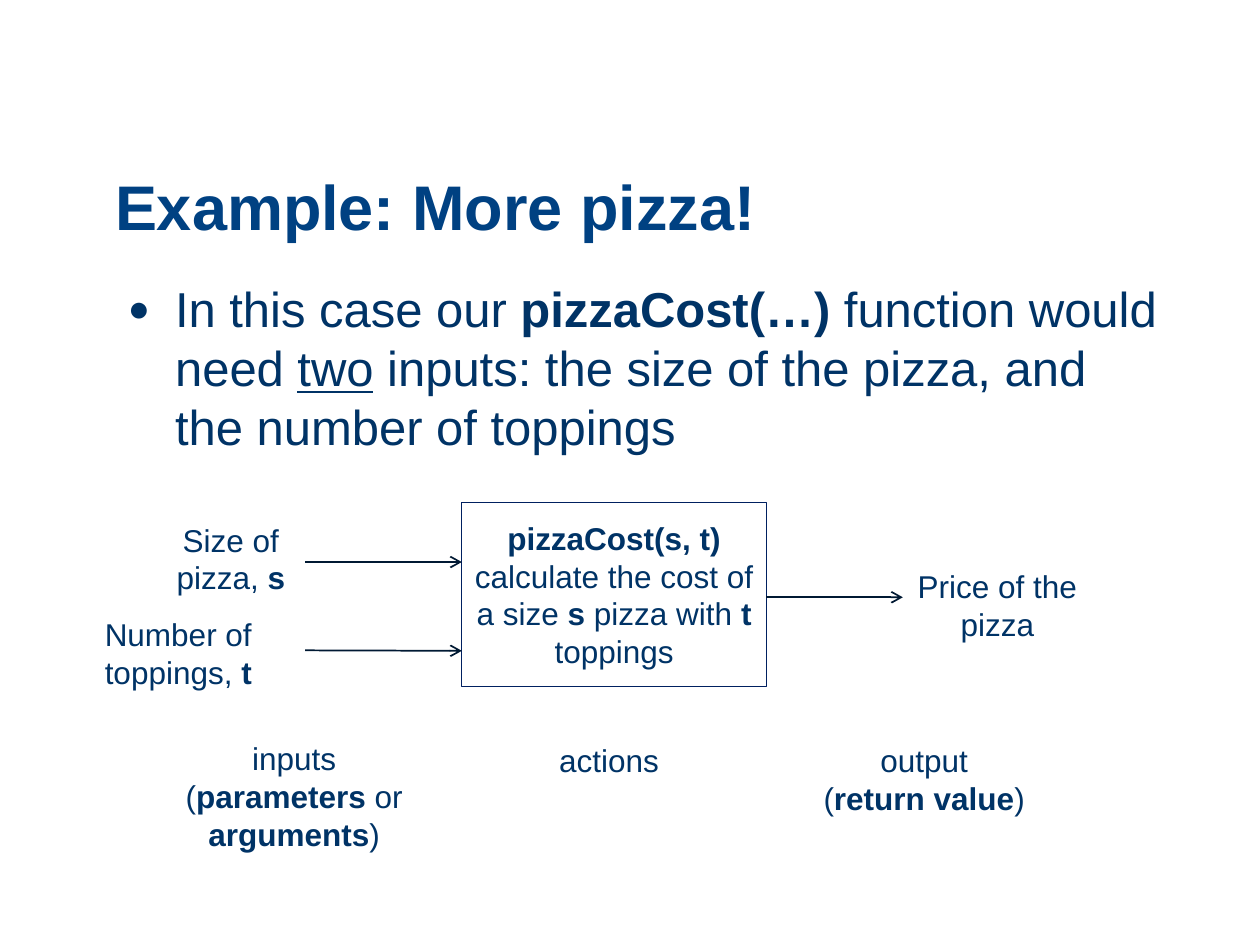
import pptx
import pptx.util
import pptx.dml.color
import pptx.enum.shapes
import pptx.enum.text
import pptx.oxml
import pptx.oxml.ns

Cm = pptx.util.Cm
Pt = pptx.util.Pt
ALIGN = pptx.enum.text.PP_ALIGN
ANCHOR = pptx.enum.text.MSO_ANCHOR
FIT = pptx.enum.text.MSO_AUTO_SIZE
KIND = pptx.enum.shapes.MSO_SHAPE

COLORS = {"title": "004182", "text": "003366", "edge": "002060", "arrow": "001933"}

TITLE = [[("Example: More pizza!", "b")]]
BODY = [[("In this case our ", ""), ("pizzaCost(…)", "b"),
         (" function would need ", ""), ("two", "u"),
         (" inputs: the size of the pizza, and the number of toppings", "")]]
ACTION = [[("pizzaCost(s, t)", "b"), ("\n", ""),
           ("calculate the cost of a size ", ""), ("s", "b"),
           (" pizza with ", ""), ("t", "b"), (" toppings", "")]]
LABELS = [
    (2.54, 10.37, 4.23, 1.8, [[("Size of pizza, ", ""), ("s", "b")]]),
    (1.48, 12.28, 4.23, 1.8, [[("Number of toppings, ", ""), ("t", "b")]]),
    (17.99, 11.3, 4.23, 1.8, [[("Price of the pizza", "")]]),
    (3.18, 14.78, 5.5, 2.57, [[("inputs", "")],
                              [("(", ""), ("parameters ", "b"), ("or ", ""),
                               ("arguments", "b"), (")", "")]]),
    (9.53, 14.81, 5.5, 1.02, [[("actions", "")]]),
    (15.88, 14.81, 5.5, 1.8, [[("output", "")],
                              [("(", ""), ("return value", "b"), (")", "")]]),
]
ARROWS = [
    (6.15, 11.33, 9.31, 11.33),
    (6.15, 13.11, 9.31, 13.12),
    (15.45, 12.04, 18.2, 12.04),
]

deck = pptx.Presentation()
deck.slide_width, deck.slide_height = Cm(25.4), Cm(19.05)
slide = deck.slides.add_slide(deck.slide_layouts[6])
shapes = slide.shapes


def paint(name):
    return pptx.dml.color.RGBColor.from_string(COLORS[name])


def write(shape, paras, size, color="text", align=ALIGN.CENTER):
    frame = shape.text_frame
    frame.word_wrap = True
    for num, parts in enumerate(paras):
        para = frame.add_paragraph() if num else frame.paragraphs[0]
        para.alignment = align
        for text, style in parts:
            if text == "\n":
                para.add_line_break()
                continue
            run = para.add_run()
            run.text = text
            font = run.font
            font.name, font.size = "Arial", Pt(size)
            font.bold, font.underline = style == "b", style == "u"
            font.color.rgb = paint(color)
    return frame


def add_box(kind, *place):
    box = shapes.add_shape(kind, *map(Cm, place))
    box.shadow.inherit = False
    box.fill.background()
    box.line.fill.background()
    return box


def add_arrow(x1, y1, x2, y2):
    arrow = shapes.add_connector(pptx.enum.shapes.MSO_CONNECTOR.STRAIGHT,
                                 *map(Cm, (x1, y1, x2, y2)))
    arrow.line.color.rgb = paint("arrow")
    arrow.line.width = Pt(1)
    space = pptx.oxml.ns.nsdecls("a")
    tail = pptx.oxml.parse_xml(f'<a:tailEnd {space} type="arrow"/>')
    arrow.line._get_or_add_ln().append(tail)
    arrow._element.spPr.append(pptx.oxml.parse_xml(f"<a:effectLst {space}/>"))


def add_bullet(para):
    props = para._p.get_or_add_pPr()
    props.set("marL", str(Cm(0.95)))
    props.set("indent", str(Cm(-0.95)))
    space = pptx.oxml.ns.nsdecls("a")
    for xml in (
        f'<a:spcBef {space}><a:spcPct val="20000"/></a:spcBef>',
        f'<a:buClr {space}><a:srgbClr val="{COLORS["text"]}"/></a:buClr>',
        f'<a:buSzPct {space} val="75000"/>',
        f'<a:buFont {space} typeface="Arial"/>',
        f'<a:buChar {space} char="●"/>',
    ):
        props.append(pptx.oxml.parse_xml(xml))


title = add_box(KIND.ROUNDED_RECTANGLE, 2.12, 2.75, 22.01, 2.33)
title.adjustments[0] = 0.22
frame = write(title, TITLE, 36, "title", ALIGN.LEFT)
frame.vertical_anchor = ANCHOR.BOTTOM
frame.margin_left, frame.margin_bottom = Cm(0.05), 0
frame.paragraphs[0].line_spacing = 0.9

body = shapes.add_textbox(*map(Cm, (2.33, 5.5, 21.37, 11.4)))
frame = write(body, BODY, 28, align=ALIGN.LEFT)
add_bullet(frame.paragraphs[0])

action = add_box(KIND.RECTANGLE, 9.31, 10.13, 6.14, 3.71)
action.line.color.rgb = paint("edge")
action.line.width = Pt(0.75)
write(action, ACTION, 18).vertical_anchor = ANCHOR.MIDDLE

for *place, paras in LABELS:
    label = shapes.add_textbox(*map(Cm, place))
    write(label, paras, 18).auto_size = FIT.SHAPE_TO_FIT_TEXT

for ends in ARROWS:
    add_arrow(*ends)

deck.save("out.pptx")
